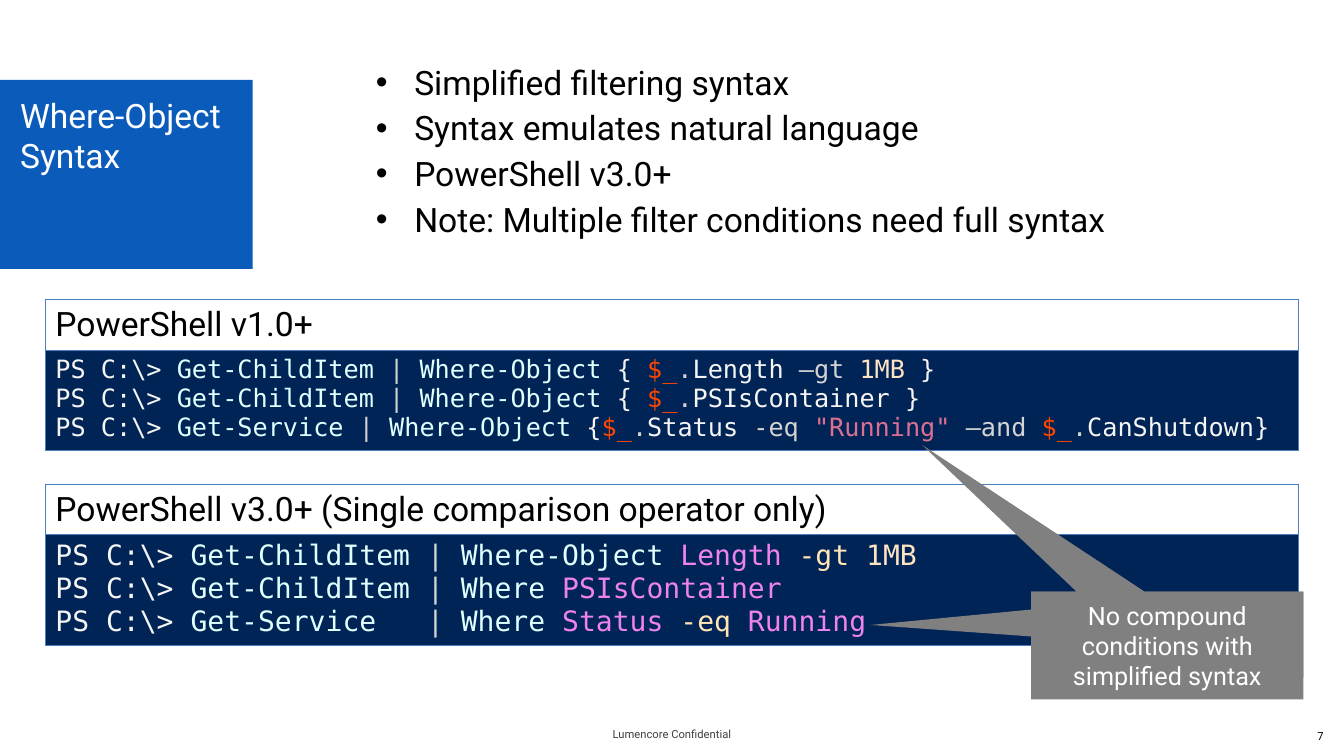
from lxml.etree import SubElement
from pptx import Presentation
from pptx.dml.color import RGBColor
from pptx.enum.shapes import MSO_SHAPE
from pptx.enum.text import MSO_ANCHOR, PP_ALIGN
from pptx.oxml.ns import qn
from pptx.util import Pt

COLORS = {
    "title": "0A5BBA", "white": "FFFFFF", "black": "000000",
    "footer": "3F3F3F", "border": "4B7EBC", "console": "012456",
    "callout": "808080", "plain": "F5F5F5", "command": "E0FFFF",
    "operator": "D3D3D3", "variable": "FF4500", "number": "FFE4C4",
    "string": "DB7093", "argument": "EE82EE", "parameter": "FFE4B5",
}
TEXT_FONT, CODE_FONT = "Roboto", "DejaVu Sans Mono"

TITLE = "Where-Object Syntax"
BULLETS = [
    "Simplified filtering syntax",
    "Syntax emulates natural language",
    "PowerShell v3.0+",
    "Note: Multiple filter conditions need full syntax",
]
PROMPT = ("PS C:\\> ", "plain")
PIPE = ("| ", "operator")
CURRENT_ITEM = [("$_", "variable"), (".", "operator")]

FULL_SYNTAX = [
    ("Get-ChildItem ", [
        ("Where-Object", "command"), (" { ", "plain"), *CURRENT_ITEM,
        ("Length ", "plain"), ("–gt ", "operator"), ("1MB ", "number"), ("}", "plain")]),
    ("Get-ChildItem ", [
        ("Where-Object", "command"), (" { ", "plain"), *CURRENT_ITEM,
        ("PSIsContainer }", "plain")]),
    ("Get-Service ", [
        ("Where-Object", "command"), (" {", "plain"), *CURRENT_ITEM,
        ("Status ", "plain"), ("-eq ", "operator"), ('"Running" ', "string"),
        ("–and ", "operator"), *CURRENT_ITEM, ("CanShutdown}", "plain")]),
]
SIMPLE_SYNTAX = [
    ("Get-ChildItem ", [
        ("Where-Object ", "command"), ("Length ", "argument"),
        ("-gt ", "parameter"), ("1MB", "number")]),
    ("Get-ChildItem ", [("Where ", "command"), ("PSIsContainer", "argument")]),
    ("Get-Service   ", [
        ("Where ", "command"), ("Status ", "argument"),
        ("-eq ", "parameter"), ("Running", "argument")]),
]
EXAMPLES = [
    ("PowerShell v1.0+", FULL_SYNTAX, 18, 214, 70),
    ("PowerShell v3.0+ (Single comparison operator only)", SIMPLE_SYNTAX, 20, 346, 77.5),
]
EXAMPLE_LEFT, EXAMPLE_WIDTH, HEADING_HEIGHT = 32.4, 895, 35.5

CALLOUT_TEXT = "No compound conditions with simplified syntax"
CALLOUT_LEFT, CALLOUT_TOP, CALLOUT_WIDTH = 736.6, 422.6, 194.4
CALLOUTS = [("", 61.2, (-0.9, -2.21)), (CALLOUT_TEXT, 77, (-1.09, -0.19))]

FOOTERS = [
    ("Lumencore Confidential", 368, 509.8, PP_ALIGN.CENTER, "footer"),
    ("7", 736, 511.2, PP_ALIGN.RIGHT, "black"),
]


def color(name):
    return RGBColor.from_string(COLORS[name])


def style(run, size, color_name, font=TEXT_FONT):
    run.font.name = font
    run.font.size = Pt(size)
    run.font.bold = False
    run.font.color.rgb = color(color_name)


def write(frame, lines, size, color_name, align=PP_ALIGN.LEFT):
    frame.word_wrap = True
    frame.text = "\n".join(lines)
    for paragraph in frame.paragraphs:
        paragraph.alignment = align
        for run in paragraph.runs:
            style(run, size, color_name)


def set_insets(frame, left, top, right, bottom):
    frame.margin_left, frame.margin_top = Pt(left), Pt(top)
    frame.margin_right, frame.margin_bottom = Pt(right), Pt(bottom)


def add_block(shapes, preset, left, top, width, height, fill):
    block = shapes.add_shape(preset, Pt(left), Pt(top), Pt(width), Pt(height))
    block.shadow.inherit = False
    block.fill.solid()
    block.fill.fore_color.rgb = color(fill)
    block.line.fill.background()
    return block


def add_bullet(paragraph):
    paragraph.space_before = Pt(4)
    properties = paragraph._p.get_or_add_pPr()
    properties.set("marL", str(Pt(27.4)))
    properties.set("indent", str(-Pt(27.4)))
    SubElement(properties, qn("a:buFont")).set("typeface", "Arial")
    SubElement(properties, qn("a:buChar")).set("char", "•")


def paint_cell(cell, fill):
    properties = cell._tc.get_or_add_tcPr()
    for side in ("a:lnL", "a:lnR", "a:lnT", "a:lnB"):
        border = SubElement(properties, qn(side), w=str(Pt(0.75)))
        solid = SubElement(border, qn("a:solidFill"))
        SubElement(solid, qn("a:srgbClr")).set("val", COLORS["border"])
    cell.fill.solid()
    cell.fill.fore_color.rgb = color(fill)


def add_example(slide, heading, commands, size, top, console_height):
    example = slide.shapes.add_table(
        2, 1, Pt(EXAMPLE_LEFT), Pt(top), Pt(EXAMPLE_WIDTH),
        Pt(HEADING_HEIGHT + console_height)).table
    example.first_row = example.horz_banding = False
    example.rows[0].height = Pt(HEADING_HEIGHT)
    example.rows[1].height = Pt(console_height)
    heading_cell, console = example.cell(0, 0), example.cell(1, 0)
    paint_cell(heading_cell, "white")
    paint_cell(console, "console")
    heading_cell.vertical_anchor = MSO_ANCHOR.MIDDLE
    write(heading_cell.text_frame, [heading], 24, "black")
    for number, (source, condition) in enumerate(commands):
        frame = console.text_frame
        line = frame.add_paragraph() if number else frame.paragraphs[0]
        for words, role in [PROMPT, (source, "command"), PIPE, *condition]:
            run = line.add_run()
            run.text = words
            style(run, size, role, CODE_FONT)


def main():
    deck = Presentation()
    deck.slide_width, deck.slide_height = Pt(960), Pt(540)
    slide = deck.slides.add_slide(deck.slide_layouts[6])

    for words, left, top, align, color_name in FOOTERS:
        footer = slide.shapes.add_textbox(Pt(left), Pt(top), Pt(224), Pt(28.8)).text_frame
        set_insets(footer, 14.4, 3.6, 14.4, 3.6)
        footer.vertical_anchor = MSO_ANCHOR.MIDDLE
        write(footer, [words], 8, color_name, align)

    title = add_block(slide.shapes, MSO_SHAPE.RECTANGLE, 0, 57, 180.5, 135, "title").text_frame
    set_insets(title, 14.4, 10.8, 7.2, 3.6)
    title.vertical_anchor = MSO_ANCHOR.TOP
    write(title, [TITLE], 24, "white")

    features = slide.shapes.add_textbox(Pt(261.4), Pt(40.3), Pt(635), Pt(144.7)).text_frame
    write(features, BULLETS, 24, "black")
    for feature in features.paragraphs:
        add_bullet(feature)

    for example in EXAMPLES:
        add_example(slide, *example)

    warning = slide.shapes.add_group_shape()
    for words, height, tip in CALLOUTS:
        callout = add_block(warning.shapes, MSO_SHAPE.RECTANGULAR_CALLOUT,
                            CALLOUT_LEFT, CALLOUT_TOP, CALLOUT_WIDTH, height, "callout")
        callout.adjustments[0], callout.adjustments[1] = tip
        if words:
            callout.text_frame.vertical_anchor = MSO_ANCHOR.MIDDLE
            write(callout.text_frame, [words], 18, "white", PP_ALIGN.CENTER)

    deck.save("out.pptx")


if __name__ == "__main__":
    main()
